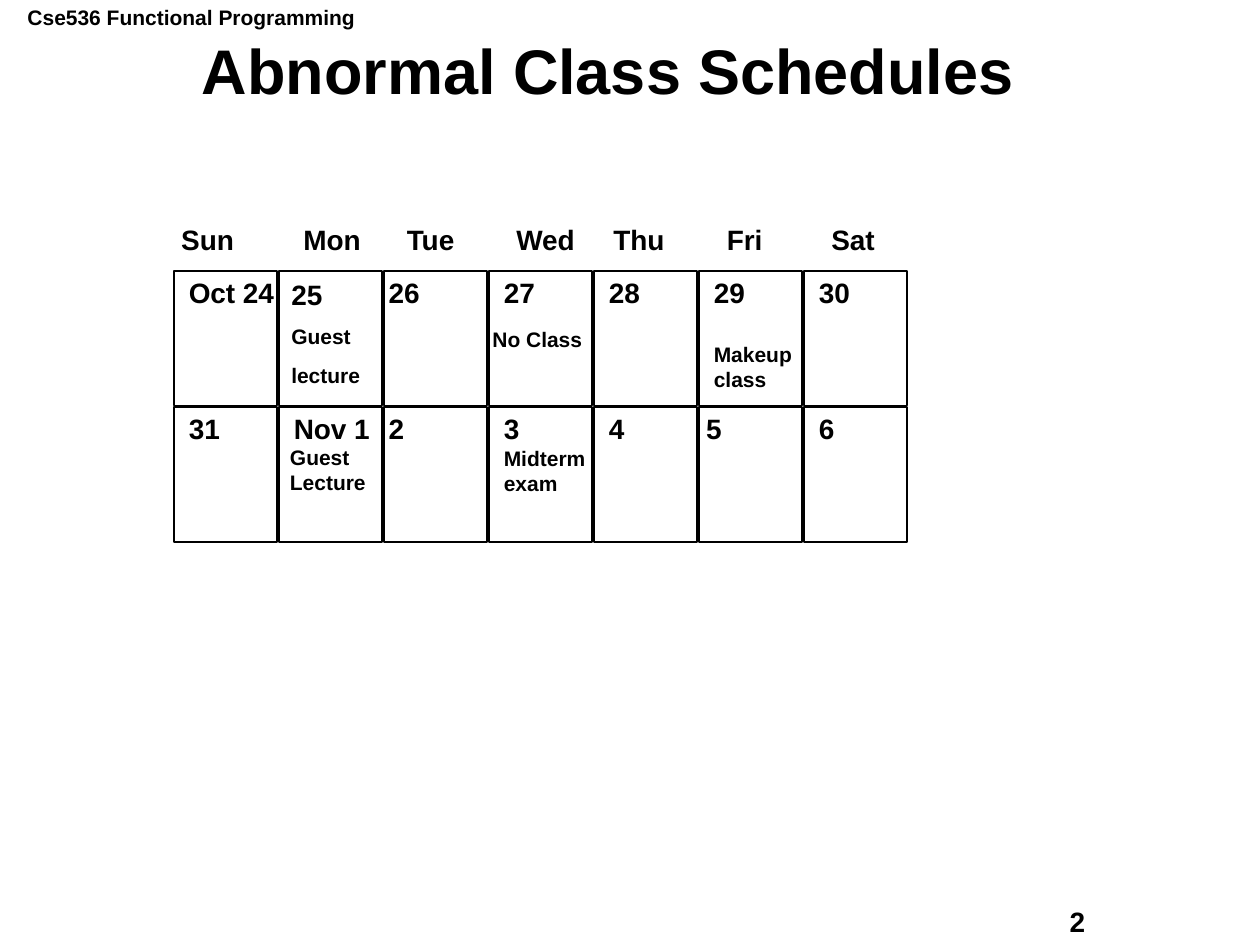
from lxml.etree import SubElement
from pptx import Presentation
from pptx.dml.color import RGBColor
from pptx.enum.shapes import MSO_SHAPE
from pptx.enum.text import MSO_ANCHOR, MSO_AUTO_SIZE, PP_ALIGN
from pptx.oxml.ns import qn
from pptx.util import Inches, Pt

BLACK, WHITE = "000000", "FFFFFF"
COLUMN_STEP, ROW_STEP = 0.8333, 1.08
CELL_WIDTH, CELL_HEIGHT = 0.82, 1.07
COLUMNS, ROWS = 7, 2
WEEKDAYS = ["Sun", "Mon", "Tue", "Wed", "Thu", "Fri", "Sat"]
WEEKDAY_STOPS = [0.97, 1.79, 2.66, 3.43, 4.33, 5.16]

ENTRIES = [
    (0, 0, 0.02, -0.01, 0.9, 0.36, [("Oct 24", 16, 0)]),
    (1, 0, 0, 0, 0.82, 0.98, [("25", 16, 0), ("Guest", 12, 7.5), ("lecture", 12, 7.5)]),
    (2, 0, -0.06, -0.01, 0.48, 0.36, [("26", 16, 0)]),
    (3, 0, 0.02, -0.01, 0.48, 0.36, [("27", 16, 0)]),
    (3, 0, -0.07, 0.39, 0.93, 0.3, [("No Class", 12, 0)]),
    (4, 0, 0.02, -0.01, 0.48, 0.36, [("28", 16, 0)]),
    (5, 0, 0.02, -0.01, 0.85, 1.03, [("29", 16, 0), ("Makeup", 12, 18.4), ("class", 12, 0)]),
    (6, 0, 0.02, -0.01, 0.48, 0.36, [("30", 16, 0)]),
    (0, 1, 0.02, -0.01, 0.48, 0.36, [("31", 16, 0)]),
    (1, 1, 0.02, -0.01, 0.85, 0.36, [("Nov 1", 16, 0)]),
    (1, 1, -0.01, 0.25, 0.83, 0.5, [("Guest", 12, 0), ("Lecture", 12, 0)]),
    (2, 1, -0.06, -0.01, 0.35, 0.36, [("2", 16, 0)]),
    (3, 1, 0.02, -0.01, 0.88, 0.76, [("3", 16, 0), ("Midterm", 12, 0), ("exam", 12, 0)]),
    (4, 1, 0.02, -0.01, 0.35, 0.36, [("4", 16, 0)]),
    (5, 1, -0.04, -0.01, 0.35, 0.63, [("5", 16, 0)]),
    (6, 1, 0.02, -0.01, 0.35, 0.36, [("6", 16, 0)]),
]


def color(value):
    """Return the colour for a hex string."""
    return RGBColor.from_string(value)


def add_run(paragraph, text, size):
    """Add one bold black run to a paragraph."""
    run = paragraph.add_run()
    run.text = text
    run.font.name = "Arial"
    run.font.size = Pt(size)
    run.font.bold = True
    run.font.color.rgb = color(BLACK)


def add_text(shapes, left, top, width, height, lines):
    """Add an unwrapped text box and return its first paragraph."""
    box = shapes.add_textbox(Inches(left), Inches(top), Inches(width), Inches(height))
    frame = box.text_frame
    frame.word_wrap = False
    for index, (text, size, space) in enumerate(lines):
        paragraph = frame.add_paragraph() if index else frame.paragraphs[0]
        if space:
            paragraph.space_before = Pt(space)
        add_run(paragraph, text, size)
    return frame.paragraphs[0]


def add_title(slide, left, top, width, height):
    """Place and fill the title placeholder."""
    title = slide.shapes.title
    title.left, title.top = Inches(left), Inches(top)
    title.width, title.height = Inches(width), Inches(height)
    frame = title.text_frame
    frame.auto_size = MSO_AUTO_SIZE.NONE
    frame.vertical_anchor = MSO_ANCHOR.MIDDLE
    paragraph = frame.paragraphs[0]
    paragraph.alignment = PP_ALIGN.CENTER
    paragraph.line_spacing = 0.9
    add_run(paragraph, "Abnormal Class Schedules", 36)


def add_weekdays(shapes, left, top, width, height):
    """Add the weekday names in one line with tab stops."""
    paragraph = add_text(shapes, left, top, width, height, [("\t".join(WEEKDAYS), 16, 0)])
    tabs = SubElement(paragraph._p.get_or_add_pPr(), qn("a:tabLst"))
    for stop in WEEKDAY_STOPS:
        SubElement(tabs, qn("a:tab"), pos=str(Inches(stop)), algn="l")


def add_cell(shapes, left, top):
    """Add one outlined day cell."""
    cell = shapes.add_shape(MSO_SHAPE.RECTANGLE, Inches(left), Inches(top),
                            Inches(CELL_WIDTH), Inches(CELL_HEIGHT))
    cell.shadow.inherit = False
    cell.fill.solid()
    cell.fill.fore_color.rgb = color(WHITE)
    cell.line.color.rgb = color(BLACK)
    cell.line.width = Pt(1)


def add_calendar(slide, left, top):
    """Add the two-week calendar with its cells, weekdays and entries."""
    shapes = slide.shapes.add_group_shape().shapes
    for row in range(ROWS):
        for column in range(COLUMNS):
            add_cell(shapes, left + column * COLUMN_STEP, top + row * ROW_STEP)
    add_weekdays(shapes, left - 0.04, top - 0.43, 5.74, 0.36)
    for column, row, across, down, width, height, lines in ENTRIES:
        add_text(shapes, left + column * COLUMN_STEP + across,
                 top + row * ROW_STEP + down, width, height, lines)


def main():
    """Build and save the slide."""
    presentation = Presentation()
    presentation.slide_width, presentation.slide_height = Inches(10), Inches(7.5)
    slide = presentation.slides.add_slide(presentation.slide_layouts[5])
    add_text(slide.shapes, 0.12, -0.01, 2.8, 0.3, [("Cse536 Functional Programming", 12, 0)])
    add_text(slide.shapes, 8.39, 7.13, 1.27, 0.36, [("2", 16, 0)])
    add_title(slide, 0.31, 0.31, 9.03, 0.56)
    add_calendar(slide, 1.38, 2.15)
    presentation.save("out.pptx")


if __name__ == "__main__":
    main()
